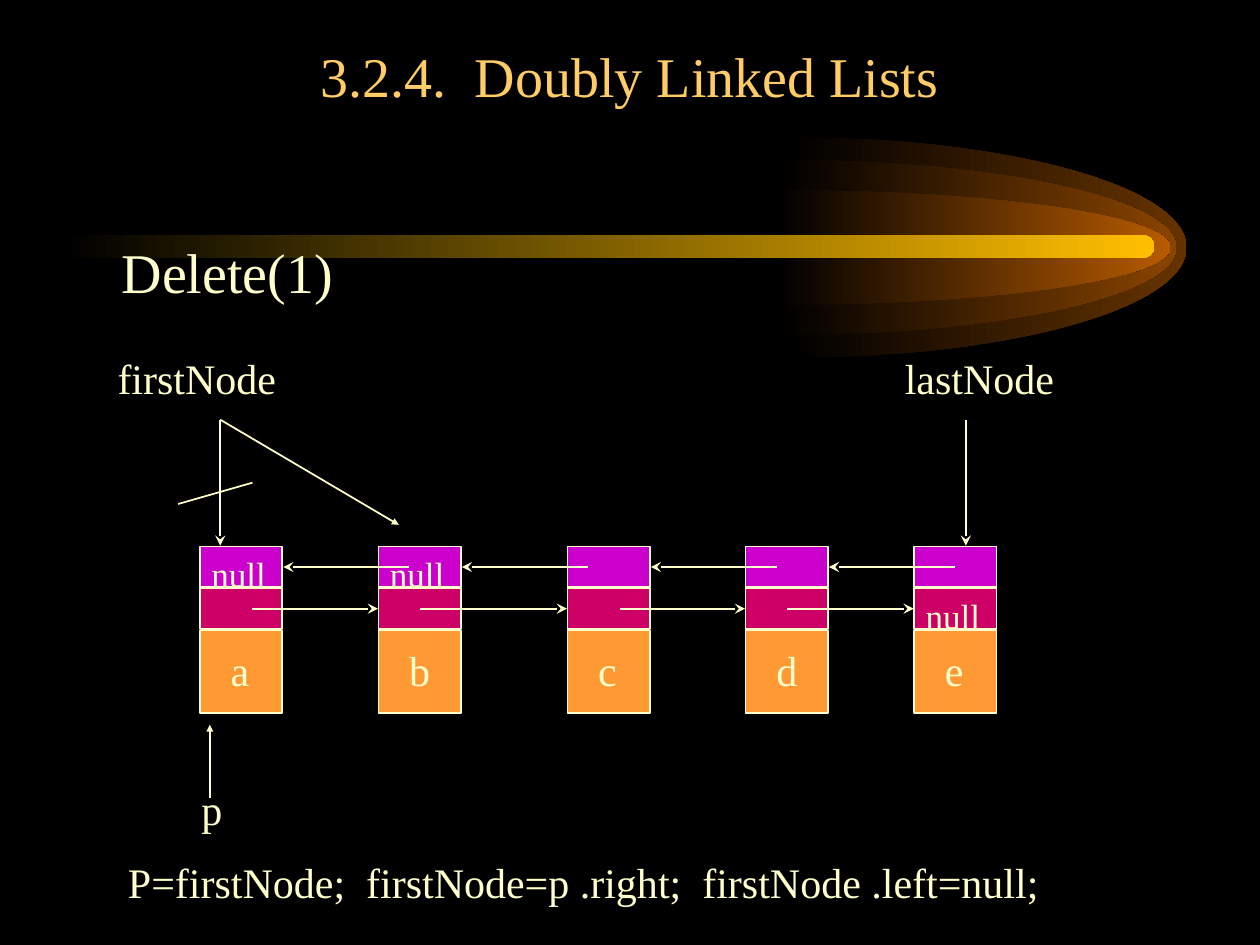
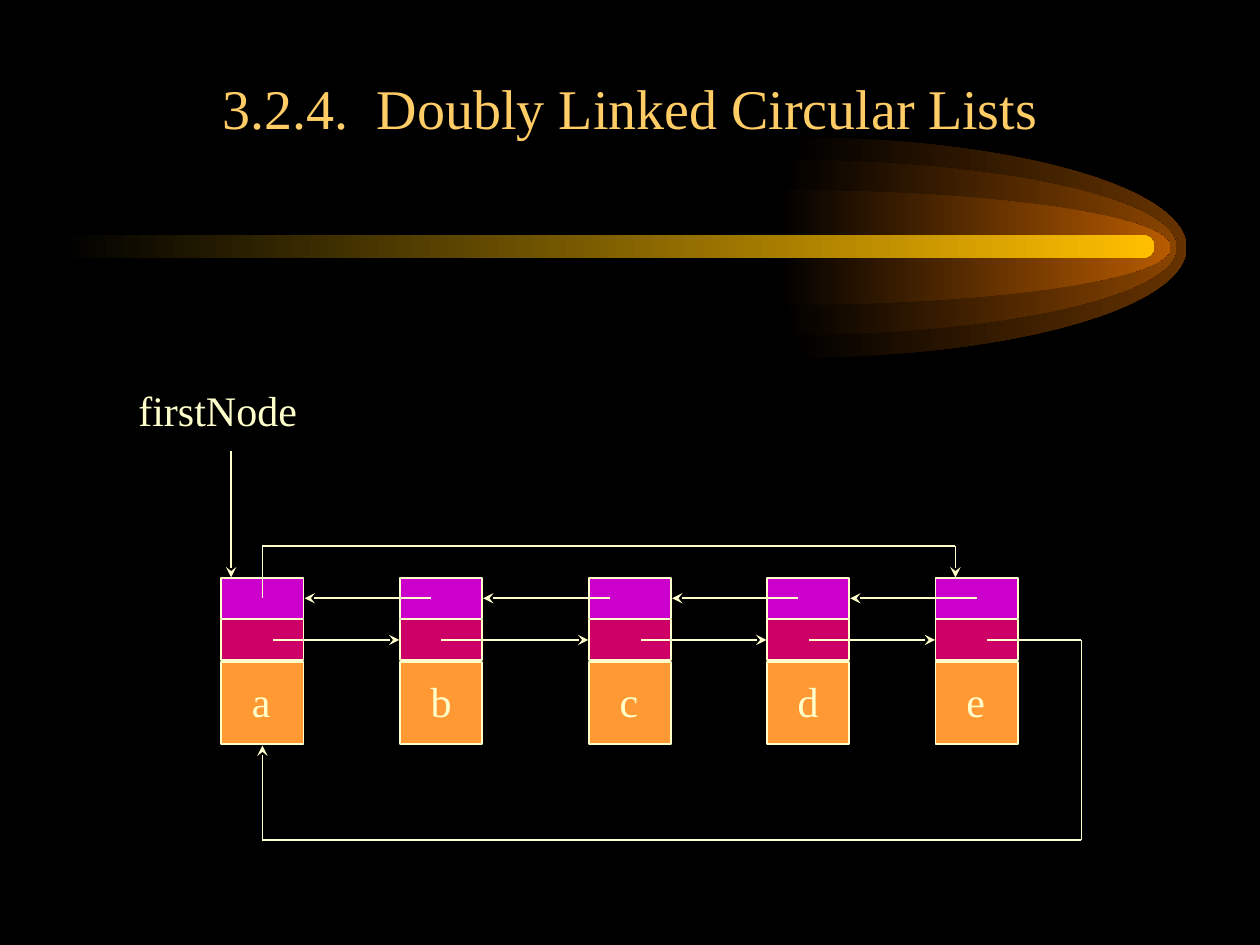
import itertools

import lxml.etree
import pptx
import pptx.dml.color
import pptx.enum.shapes
import pptx.enum.text
import pptx.oxml.ns
import pptx.util

Cm, Pt = pptx.util.Cm, pptx.util.Pt
qn = pptx.oxml.ns.qn
ALIGN = pptx.enum.text.PP_ALIGN
ANCHOR = pptx.enum.text.MSO_ANCHOR
AUTO = pptx.enum.text.MSO_AUTO_SIZE
SHAPES = pptx.enum.shapes.MSO_SHAPE

FONT = "Times New Roman"
COLORS = {
    "background": "000000",
    "title": "FFCC66",
    "ink": "FFFFCC",
    "left_link": "CC00CC",
    "right_link": "CC0066",
    "data": "FF9933",
    "outer_glow": "663300",
    "middle_glow": "894400",
    "inner_glow": "B75B00",
    "beam": "FFBF00",
}

# List diagram, in cm: node offsets from the first node, and where links start in a node
NODES = dict(zip("abcde", (0, 3.6, 7.41, 11, 14.4)))
RIGHT_STARTS = (1.05, 0.83, 1.05, 0.84)
LEFT_STARTS = (0.62, 0.42, 0.63, 0.83)
CELL_WIDTH, LINK_HEIGHT, DATA_HEIGHT = 1.66, 0.82, 1.66
RIGHT_TOP, DATA_TOP = 0.84, 1.69
LEFT_LINE, RIGHT_LINE = 0.41, 1.25


def rgb(name):
    return pptx.dml.color.RGBColor.from_string(COLORS[name])


def write(frame, *runs, size=24, color="ink", align=ALIGN.LEFT, anchor=ANCHOR.TOP,
          before=0, wrap=True, fit=AUTO.SHAPE_TO_FIT_TEXT):
    """Fill a text frame with one paragraph; a run is a text or a (text, size) pair."""
    frame.word_wrap = wrap
    frame.auto_size = fit
    frame.vertical_anchor = anchor
    paragraph = frame.paragraphs[0]
    paragraph.alignment = align
    paragraph.space_before = Pt(before)
    for item in runs:
        words, points = item if isinstance(item, tuple) else (item, size)
        run = paragraph.add_run()
        run.text = words
        run.font.name = FONT
        run.font.size = Pt(points)
        run.font.color.rgb = rgb(color)


def label(slide, words, left, top, width, height=1.27, **style):
    box = slide.shapes.add_textbox(Cm(left), Cm(top), Cm(width), Cm(height))
    write(box.text_frame, words, **style)


def null_mark(slide, left, top):
    label(slide, "null", left - 0.02, top - 0.01, 1.7, 1.1, size=20, before=12.5)


def cell(slide, left, top, height, color):
    box = slide.shapes.add_shape(SHAPES.RECTANGLE, Cm(left), Cm(top),
                                 Cm(CELL_WIDTH), Cm(height))
    box.shadow.inherit = False
    box.fill.solid()
    box.fill.fore_color.rgb = rgb(color)
    box.line.color.rgb = rgb("ink")
    box.line.width = Pt(0.99)


def route(slide, *points, head="stealth", head_size="med"):
    """Join the points by straight lines, with an arrowhead at the last one."""
    for start, end in itertools.pairwise(points):
        link = slide.shapes.add_connector(
            pptx.enum.shapes.MSO_CONNECTOR.STRAIGHT,
            *(Cm(length) for length in start + end))
        link.line.color.rgb = rgb("ink")
        link.line.width = Pt(0.99)
        lxml.etree.SubElement(link._element.spPr, qn("a:effectLst"))
        if head and end == points[-1]:
            lxml.etree.SubElement(link.line._get_or_add_ln(), qn("a:tailEnd"),
                                  type=head, w=head_size, len=head_size)


def fade(shape, color):
    """Fill from the background, at the left, to the colour, without an outline."""
    shape.shadow.inherit = False
    shape.line.fill.background()
    shape.fill.gradient()
    shape.fill.gradient_angle = 0
    for stop, name in zip(shape.fill.gradient_stops, ("background", color)):
        stop.color.rgb = rgb(name)


def bend(segment, *points):
    """Turn a straight outline segment into a Bezier curve."""
    curve = lxml.etree.Element(qn("a:cubicBezTo"))
    for x, y in points:
        lxml.etree.SubElement(curve, qn("a:pt"), x=str(int(x)), y=str(int(y)))
    segment.getparent().replace(segment, curve)


def glow(slide, left, radius, color):
    """Right half of an ellipse around the beam, as two quarter curves."""
    middle, width = 4.99, 7.95
    builder = slide.shapes.build_freeform(Cm(left), Cm(middle - radius))
    builder.add_line_segments([(Cm(left + width), Cm(middle)),
                               (Cm(left), Cm(middle + radius)),
                               (Cm(left), Cm(middle))], close=True)
    half = builder.convert_to_shape()
    w, r = half.width, half.height / 2
    upper, lower, _ = half._element.findall(".//" + qn("a:lnTo"))
    bend(upper, (0.55 * w, 0), (w, 0.45 * r), (w, r))
    bend(lower, (w, 1.55 * r), (0.55 * w, 2 * r), (0, 2 * r))
    fade(half, color)
    return half


def add_comet(slide, layout):
    """Draw the comet band once and hand it to the layout, behind all slides."""
    beam = slide.shapes.add_shape(SHAPES.ROUNDED_RECTANGLE, Cm(1.27), Cm(4.74),
                                  Cm(22), Cm(0.46))
    beam.adjustments[0] = 0.5
    fade(beam, "beam")
    parts = [glow(slide, 15.97, 2.22, "outer_glow"),
             glow(slide, 15.77, 1.77, "middle_glow"),
             glow(slide, 15.65, 1.16, "inner_glow"), beam]
    for number, part in enumerate(parts, 100):
        part._element.nvSpPr.cNvPr.id = number
        layout.shapes._spTree.append(part._element)


def add_title(slide, top, *runs):
    title = slide.shapes.title
    title.left, title.top = Cm(1.9), Cm(top)
    title.width, title.height = Cm(21.6), Cm(1.7)
    write(title.text_frame, *runs, size=32, color="title", align=ALIGN.CENTER,
          anchor=ANCHOR.BOTTOM, fit=AUTO.NONE)


def pointer(slide, name, left, top, arrow_x):
    label(slide, name, left, top, 4.65, before=15)
    route(slide, (arrow_x, top + 1.48), (arrow_x, top + 4.02))


def linked_list(slide, left, top):
    """Five nodes of left link, right link and data, joined in both directions."""
    for letter, offset in NODES.items():
        x = left + offset
        cell(slide, x, top + DATA_TOP, DATA_HEIGHT, "data")
        cell(slide, x, top + RIGHT_TOP, LINK_HEIGHT, "right_link")
        cell(slide, x, top, LINK_HEIGHT, "left_link")
        label(slide, letter, x + 0.37, top + 1.85, 0.9, wrap=False)
    pairs = itertools.pairwise(NODES.values())
    for (near, far), go, back in zip(pairs, RIGHT_STARTS, LEFT_STARTS):
        right_y, left_y = top + RIGHT_LINE, top + LEFT_LINE
        route(slide, (left + near + go, right_y), (left + far - 0.01, right_y))
        route(slide, (left + far + back, left_y),
              (left + near + CELL_WIDTH + 0.02, left_y))


def delete_slide(slide):
    add_title(slide, 0.62, "3.2.4.  Doubly Linked Lists")
    label(slide, " Delete(1)", 1.92, 4.67, 21.6, 11.43, size=32, before=8,
          fit=AUTO.NONE)

    left, top = 4.03, 11.02
    linked_list(slide, left, top)
    null_mark(slide, left, top)
    null_mark(slide, left + NODES["b"], top)
    null_mark(slide, left + NODES["e"], top + RIGHT_TOP)
    pointer(slide, "firstNode", 2.12, 6.98, 4.44)
    pointer(slide, "lastNode", 17.99, 6.98, 19.47)

    # First pointer crossed out and moved to the second node
    route(slide, (4.44, 8.46), (8.04, 10.58), head="triangle", head_size="sm")
    route(slide, (5.09, 9.73), (3.59, 10.16), head=None)

    # Helper pointer and the statements
    label(slide, "p", 3.81, 15.67, 1.27, before=15)
    route(slide, (4.23, 16.09), (4.23, 14.61), head="triangle", head_size="sm")
    label(slide, "P=firstNode;  firstNode=p .right;  firstNode .left=null;",
          2.33, 17.15, 20.1, before=15)


def circular_slide(slide):
    add_title(slide, 1.27, "3.2.4.  Doubly Linked Circular", (" ", 28), "Lists")
    left, top = 4.46, 11.65
    linked_list(slide, left, top)
    pointer(slide, "firstNode", 2.54, 7.62, 4.66)

    # Links that close the circle
    first_x, last_x, outer_x = 5.29, 19.26, 21.8
    right_y = top + RIGHT_LINE
    route(slide, (19.9, right_y), (outer_x, right_y), (outer_x, 16.93),
          (first_x, 16.93), (first_x, 15.03))
    route(slide, (first_x, top + LEFT_LINE), (first_x, 11), (last_x, 11),
          (last_x, 11.64))


def main():
    deck = pptx.Presentation()
    deck.slide_width, deck.slide_height = Cm(25.4), Cm(19.05)
    layout = deck.slide_layouts[5]
    layout.background.fill.solid()
    layout.background.fill.fore_color.rgb = rgb("background")

    delete, circular = (deck.slides.add_slide(layout) for _ in range(2))
    add_comet(delete, layout)
    delete_slide(delete)
    circular_slide(circular)
    deck.save("out.pptx")


main()
